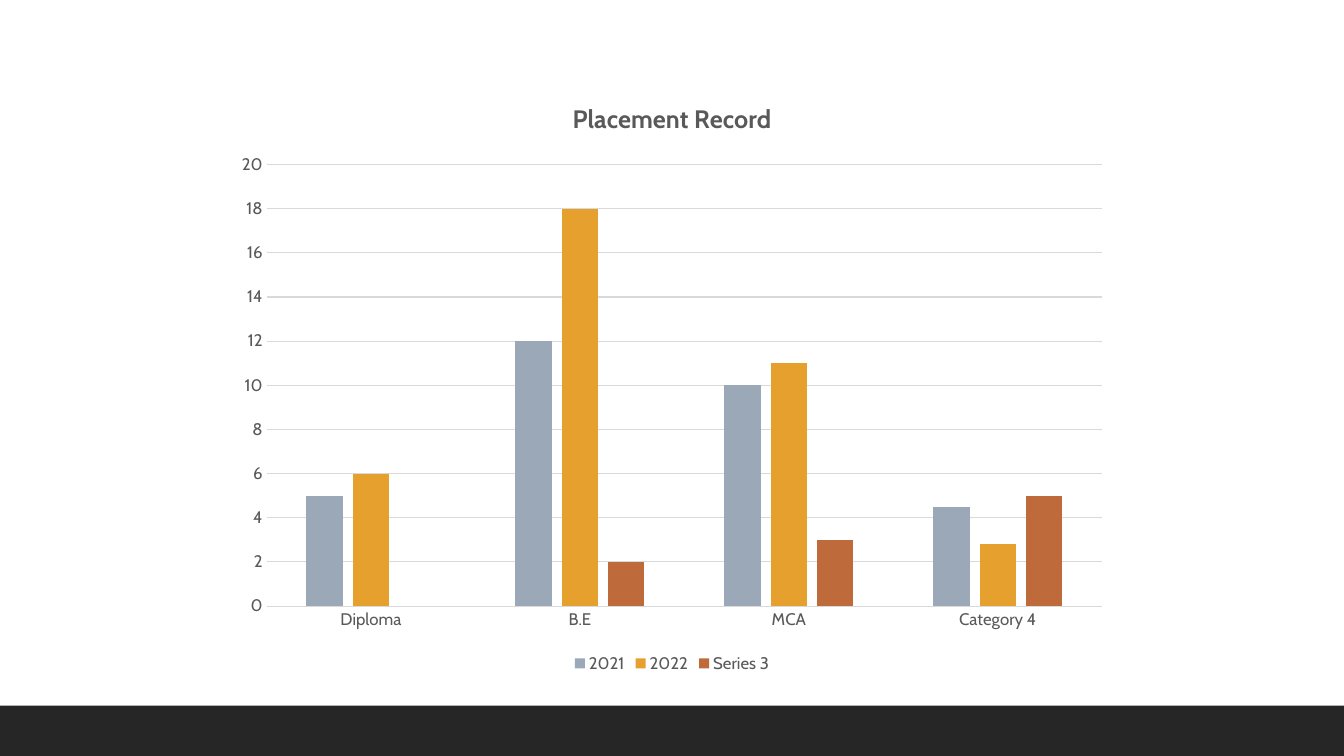
from pptx import Presentation
from pptx.chart.data import CategoryChartData
from pptx.dml.color import RGBColor
from pptx.enum import chart as charts, shapes
from pptx.util import Inches, Pt


def paint(fill, color):
    fill.solid()
    fill.fore_color.rgb = RGBColor.from_string(color)


def style_font(font, size, bold=False):
    font.name = "Cabin"
    font.size = Pt(size)
    font.bold = bold
    paint(font.fill, "595959")


deck = Presentation()
deck.slide_width = Inches(13.33)
deck.slide_height = Inches(7.5)
page = deck.slides.add_slide(deck.slide_layouts[6])
paint(page.background.fill, "FFFFFF")

footer = page.shapes.add_shape(
    shapes.MSO_SHAPE.RECTANGLE, 0, Inches(7), deck.slide_width, Inches(0.5))
footer.shadow.inherit = False
paint(footer.fill, "262626")
footer.line.fill.background()

placements = [
    ("2021", (5, 12, 10, 4.5), "9BA8B7"),
    ("2022", (6, 18, 11, 2.8), "E6A02E"),
    ("Series 3", (None, 2, 3, 5), "BF6A3B"),
]
data = CategoryChartData()
data.categories = ["Diploma", "B.E", "MCA", "Category 4"]
for name, values, color in placements:
    data.add_series(name, values)

chart = page.shapes.add_chart(
    charts.XL_CHART_TYPE.COLUMN_CLUSTERED,
    Inches(2.22), Inches(0.79), Inches(8.89), Inches(5.93), data).chart
style_font(chart.font, 12)

chart.has_title = True
title = chart.chart_title.text_frame
title.text = "Placement Record"
style_font(title.paragraphs[0].font, 18, bold=True)
chart.chart_title.include_in_layout = False

chart.has_legend = True
chart.legend.position = charts.XL_LEGEND_POSITION.BOTTOM
chart.legend.include_in_layout = False
style_font(chart.legend.font, 12)

plot = chart.plots[0]
plot.gap_width = 219
plot.overlap = -27
plot.vary_by_categories = False
for series, (name, values, color) in zip(plot.series, placements):
    paint(series.format.fill, color)
    series.invert_if_negative = False

category_axis, value_axis = chart.category_axis, chart.value_axis
for axis in (category_axis, value_axis):
    axis.major_tick_mark = axis.minor_tick_mark = charts.XL_TICK_MARK.NONE
    style_font(axis.tick_labels.font, 12)

value_axis.minimum_scale = 0
value_axis.maximum_scale = 20
value_axis.major_unit = 2
value_axis.has_major_gridlines = True
value_axis.format.line.fill.background()
for line in (category_axis.format.line, value_axis.major_gridlines.format.line):
    line.width = Pt(0.75)
    paint(line.fill, "D9D9D9")

deck.save("out.pptx")
